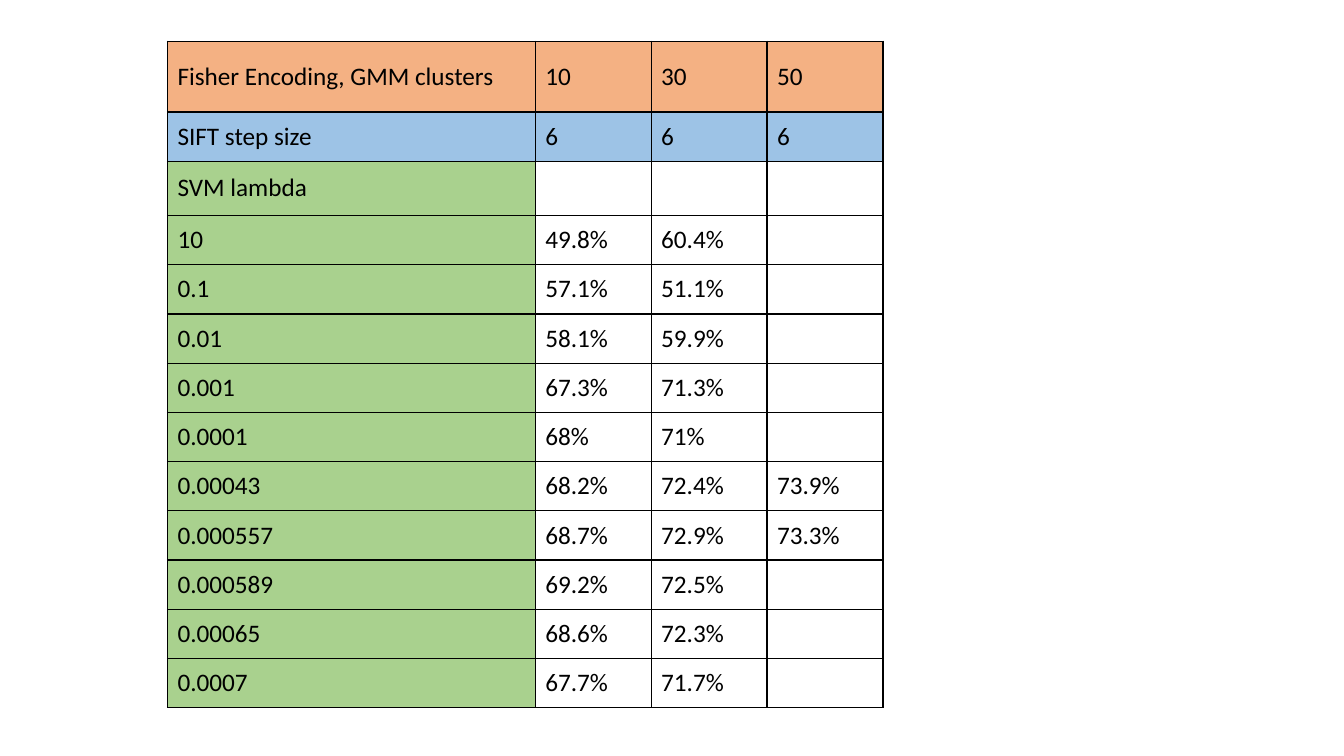
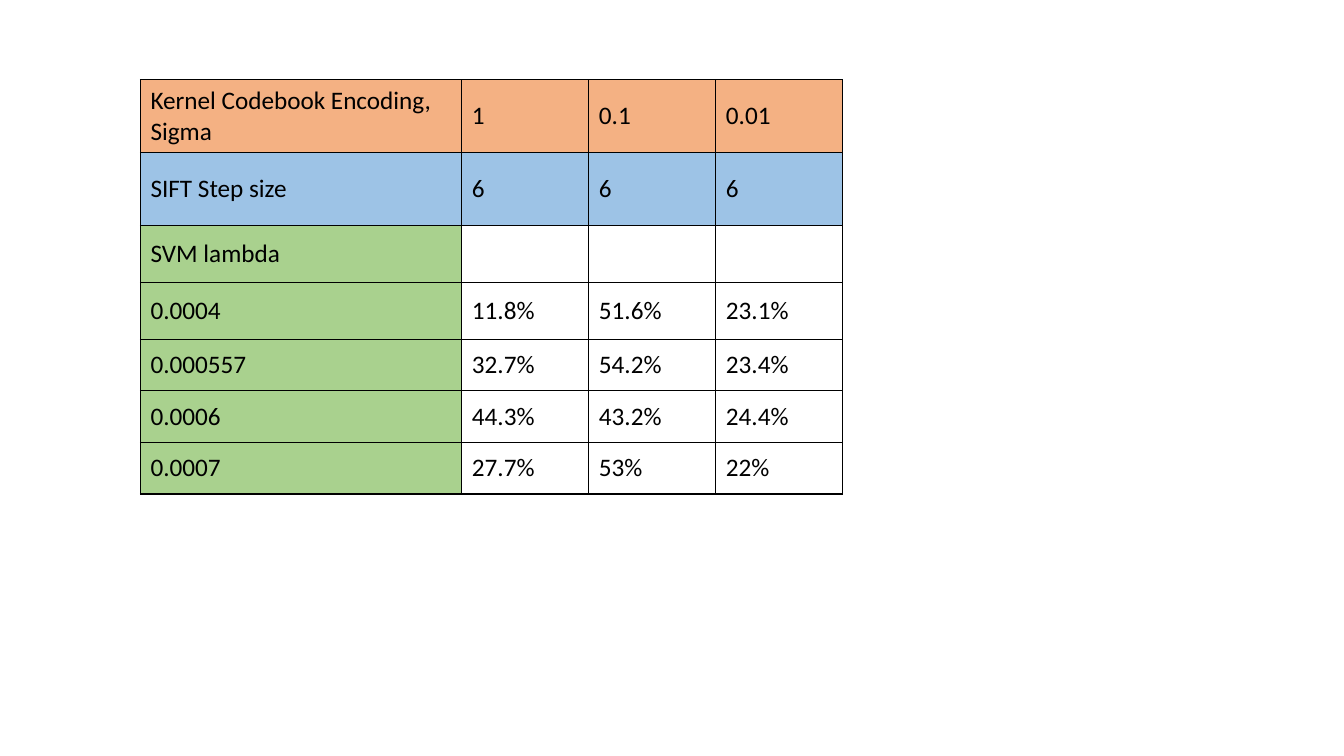
"""Two slides of recognition accuracy, one table each."""
from lxml import etree
from pptx import Presentation
from pptx.dml.color import RGBColor
from pptx.enum import text
from pptx.oxml import ns
from pptx.util import Cm, Pt

HUES = {"head": "F4B183", "step": "9DC3E6", "label": "A9D18E",
        "plain": "FFFFFF", "ink": "000000"}
FONT = {"name": "Calibri", "size": Pt(18), "bold": False}
FLAGS = {"first_row": False, "horz_banding": False}

FISHER = [
    ["Fisher Encoding, GMM clusters", "10", "30", "50"],
    ["SIFT step size", "6", "6", "6"],
    ["SVM lambda"],
    ["10", "49.8%", "60.4%"],
    ["0.1", "57.1%", "51.1%"],
    ["0.01", "58.1%", "59.9%"],
    ["0.001", "67.3%", "71.3%"],
    ["0.0001", "68%", "71%"],
    ["0.00043", "68.2%", "72.4%", "73.9%"],
    ["0.000557", "68.7%", "72.9%", "73.3%"],
    ["0.000589", "69.2%", "72.5%"],
    ["0.00065", "68.6%", "72.3%"],
    ["0.0007", "67.7%", "71.7%"],
]
KERNEL = [
    ["Kernel Codebook Encoding, Sigma", "1", "0.1", "0.01"],
    ["SIFT Step size", "6", "6", "6"],
    ["SVM lambda"],
    ["0.0004", "11.8%", "51.6%", "23.1%"],
    ["0.000557", "32.7%", "54.2%", "23.4%"],
    ["0.0006", "44.3%", "43.2%", "24.4%"],
    ["0.0007", "27.7%", "53%", "22%"],
]


def tint(row, col):
    """Return the fill of a cell by its place in the table."""
    if row < 2:
        return HUES[("head", "step")[row]]
    return HUES["plain" if col else "label"]


def apply(item, style):
    """Set the attributes of an object from a dict."""
    for key, value in style.items():
        setattr(item, key, value)


def frame(cell):
    """Draw a thin line on all four sides of a cell."""
    props = cell._tc.get_or_add_tcPr()
    for spot, side in enumerate("LRTB"):
        line = etree.Element(ns.qn("a:ln" + side), w=str(Pt(1)))
        fill = etree.SubElement(line, ns.qn("a:solidFill"))
        etree.SubElement(fill, ns.qn("a:srgbClr"), val=HUES["ink"])
        props.insert(spot, line)


def write(cell, words, hue):
    """Fill, frame and label one cell."""
    cell.fill.solid()
    cell.fill.fore_color.rgb = RGBColor.from_string(hue)
    cell.vertical_anchor = text.MSO_ANCHOR.MIDDLE
    frame(cell)
    if words:
        run = cell.text_frame.paragraphs[0].add_run()
        run.text = words
        apply(run.font, FONT)
        run.font.color.rgb = RGBColor.from_string(HUES["ink"])


def results(deck, data, left, top, widths, heights):
    """Add a slide with a table of results at the given place."""
    slide = deck.slides.add_slide(deck.slide_layouts[6])
    table = slide.shapes.add_table(
        len(heights), len(widths), Cm(left), Cm(top),
        Cm(sum(widths)), Cm(sum(heights))).table
    apply(table, FLAGS)
    for col, width in zip(table.columns, widths):
        col.width = Cm(width)
    for row, height in zip(table.rows, heights):
        row.height = Cm(height)
    for r, words in enumerate(data):
        for c in range(len(widths)):
            write(table.cell(r, c), words[c] if c < len(words) else "",
                  tint(r, c))


def main():
    """Build and save the deck."""
    deck = Presentation()
    apply(deck, {"slide_width": Cm(33.87), "slide_height": Cm(19.05)})
    results(deck, FISHER, 4.22, 1.04, [9.27] + [2.92] * 3,
            [1.78, 1.24, 1.37] + [1.24] * 10)
    results(deck, KERNEL, 3.54, 2.01, [8.1] + [3.2] * 3,
            [1.84, 1.84, 1.42, 1.44] + [1.3] * 3)
    deck.save("out.pptx")


main()
